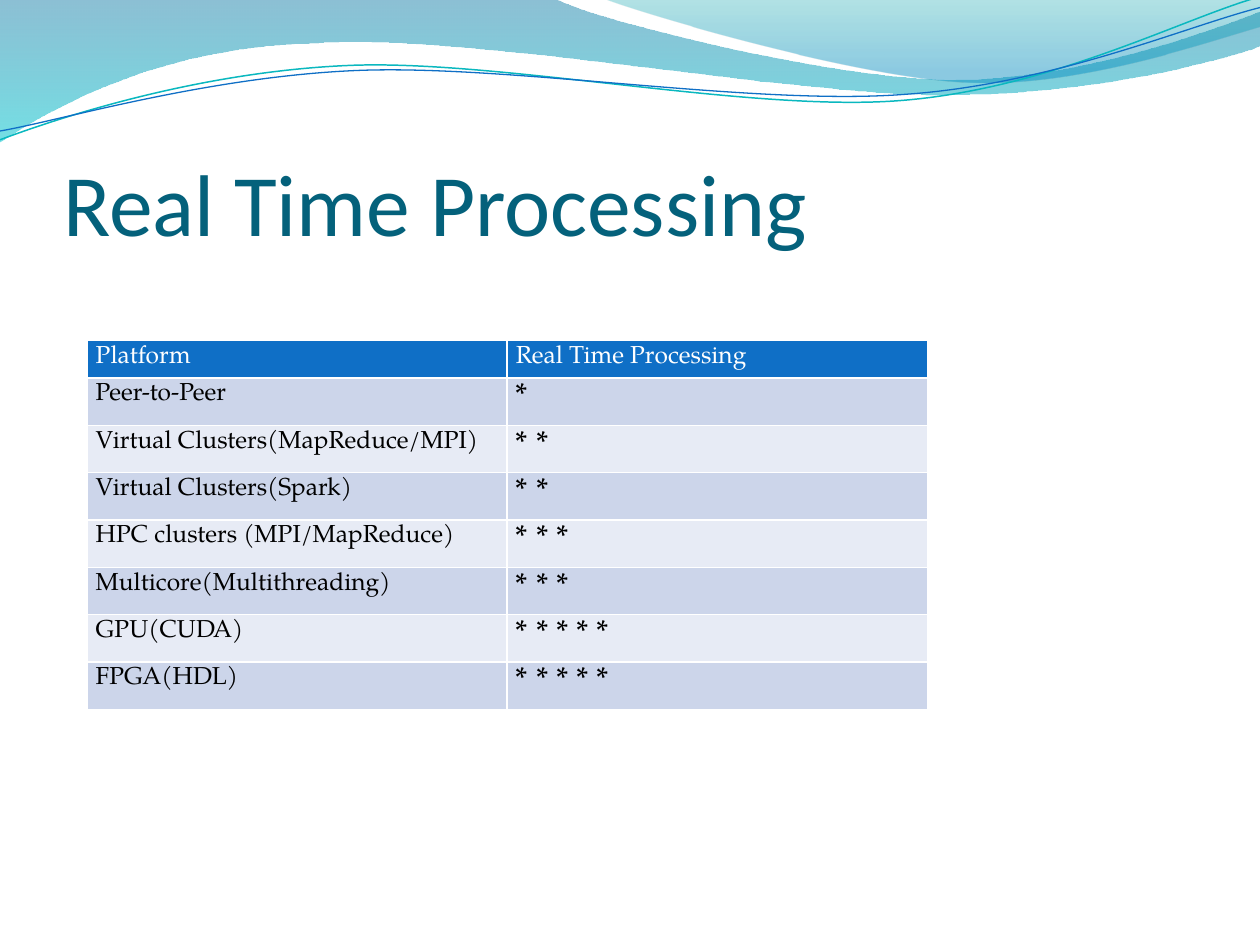
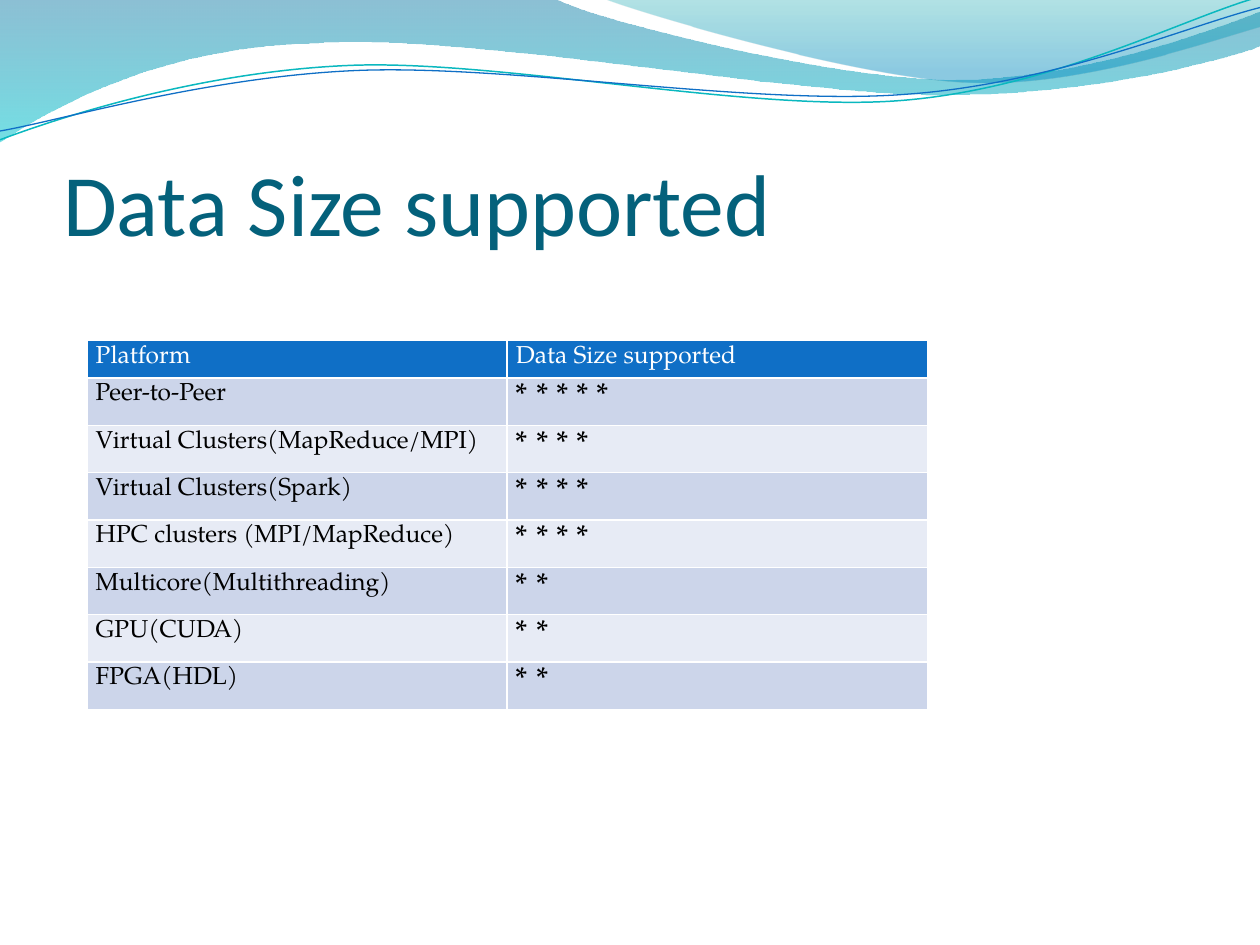
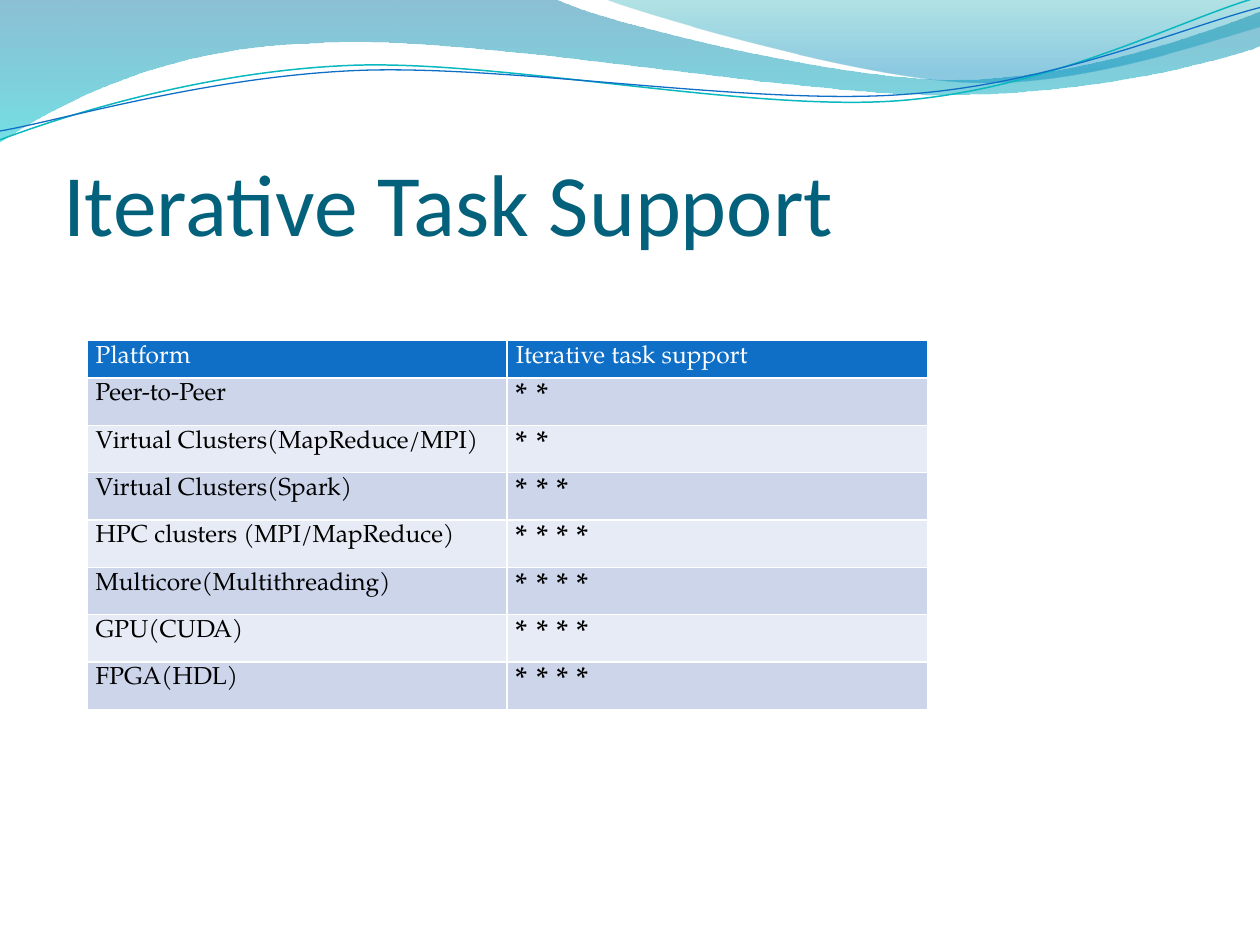
import lxml.etree
import pptx
import pptx.dml.color
import pptx.enum.text
import pptx.oxml.ns
import pptx.shapes.shapetree
import pptx.util

Inches = pptx.util.Inches
Pt = pptx.util.Pt
qn = pptx.oxml.ns.qn

TITLE_COLOUR = "04617B"
HEADER_FILL = "0F6FC6"
ROW_FILLS = ("CCD5EA", "E7EBF5")
WHITE = "FFFFFF"
BLACK = "000000"
TITLE_FONT = "Calibri"
TABLE_FONT = "TeX Gyre Pagella"

BANNER_BOX = (0, 0, 10, 1.13)
TITLE_BOX = (0.5, 0.77, 9, 1.25)
RATING_BOX = (0.69, 2.7, 6.67, 2.93)
HEADER_HEIGHT = 0.3

BANDS = [
    {
        "outline": [
            (0, 0), (4.4, -0.01),
            (4.76, 0.17, 6.64, 0.63, 7.58, 0.63),
            (8.53, 0.63, 9.58, 0.26, 10, 0.09),
            (10.01, 0.36),
            (9.83, 0.44, 8.7, 0.76, 7.46, 0.75),
            (6.22, 0.75, 3.82, 0.28, 2.57, 0.34),
            (1.29, 0.36, 0.46, 0.83, -0.01, 1.13),
            (0, 0),
        ],
        "stops": [(0, "0074A1", 45), (1, "00C6CF", 55)],
    },
    {
        "outline": [
            (4.79, -0.01),
            (5.09, 0.11, 6.82, 0.62, 7.69, 0.65),
            (8.56, 0.69, 9.61, 0.32, 10, 0.21),
            (10, 0),
            (4.79, -0.01),
        ],
        "stops": [(0, "00A1A9", 30), (0.8, "008BBF", 45)],
    },
]

STRANDS = [
    {
        "outline": [
            (0, 1.11),
            (0.48, 0.93, 1.58, 0.57, 2.77, 0.52),
            (3.95, 0.47, 5.93, 0.89, 7.13, 0.8),
            (8.33, 0.71, 9.38, 0.15, 9.98, -0.02),
        ],
        "colour": "0AB8BF",
        "width": 0.85,
    },
    {
        "outline": [
            (0, 1.04),
            (0.47, 0.96, 1.64, 0.61, 2.83, 0.56),
            (4.03, 0.51, 5.97, 0.84, 7.17, 0.75),
            (8.36, 0.67, 9.41, 0.21, 10, 0.06),
        ],
        "colour": HEADER_FILL,
        "width": 0.75,
    },
]

PLATFORMS = [
    "Peer-to-Peer",
    "Virtual Clusters(MapReduce/MPI)",
    "Virtual Clusters(Spark)",
    "HPC clusters (MPI/MapReduce)",
    "Multicore(Multithreading)",
    "GPU(CUDA)",
    "FPGA(HDL)",
]

RATINGS = [
    ("Real Time Processing", "Real Time Processing", (1, 2, 2, 3, 3, 5, 5)),
    ("Data Size supported", "Data Size supported", (5, 4, 4, 4, 2, 2, 2)),
    ("Iterative Task Support", "Iterative task support", (2, 2, 3, 4, 4, 4, 4)),
]


def rgb(colour):
    return pptx.dml.color.RGBColor.from_string(colour)


def apply(target, values):
    for name, value in values.items():
        setattr(target, name, value)


def style_font(font, face, size, colour):
    apply(font, {"name": face, "size": Pt(size), "bold": False})
    font.color.rgb = rgb(colour)


def bend_segments(wave, outline):
    segments = iter(list(wave.element.iter(qn("a:lnTo"))))
    for step in outline[1:]:
        segment = next(segments)
        if len(step) == 6:
            curve = lxml.etree.Element(qn("a:cubicBezTo"))
            segment.addprevious(curve)
            for handle in (segment, next(segments), next(segments)):
                curve.append(handle[0])
                handle.getparent().remove(handle)


def add_wave(shapes, box, outline, close):
    left, top = box[:2]
    points = [
        (Inches(left + x), Inches(top + y))
        for step in outline
        for x, y in zip(step[::2], step[1::2])
    ]
    builder = shapes.build_freeform(*points[0], scale=1.0)
    builder.add_line_segments(points[1:], close=close)
    wave = builder.convert_to_shape()
    bend_segments(wave, outline)
    wave.shadow.inherit = False
    return wave


def add_banner(layout, box):
    shapes = pptx.shapes.shapetree.SlideShapes(layout.shapes.element, layout)
    for band in BANDS:
        wave = add_wave(shapes, box, band["outline"], True)
        wave.line.fill.background()
        wave.fill.gradient()
        wave.fill.gradient_angle = 270
        for stop, (position, colour, opacity) in zip(wave.fill.gradient_stops, band["stops"]):
            stop.position = position
            stop.color.rgb = rgb(colour)
        tints = wave.element.spPr.iter(qn("a:srgbClr"))
        for tint, (position, colour, opacity) in zip(tints, band["stops"]):
            lxml.etree.SubElement(tint, qn("a:alpha"), val=str(opacity * 1000))
    for strand in STRANDS:
        wave = add_wave(shapes, box, strand["outline"], False)
        wave.fill.background()
        wave.line.color.rgb = rgb(strand["colour"])
        wave.line.width = Pt(strand["width"])


def set_title(slide, box, text):
    title = slide.shapes.title
    apply(title, dict(zip(("left", "top", "width", "height"), map(Inches, box))))
    frame = title.text_frame
    frame.text = text
    apply(frame, {
        "margin_left": 0,
        "margin_top": Inches(0.05),
        "margin_right": 0,
        "margin_bottom": 0,
        "word_wrap": True,
        "auto_size": pptx.enum.text.MSO_AUTO_SIZE.NONE,
        "vertical_anchor": pptx.enum.text.MSO_ANCHOR.BOTTOM,
    })
    heading = frame.paragraphs[0]
    heading.alignment = pptx.enum.text.PP_ALIGN.LEFT
    style_font(heading.runs[0].font, TITLE_FONT, 50, TITLE_COLOUR)


def fill_cell(cell, text, size, colour, fill):
    apply(cell, {
        "text": text,
        "margin_left": Inches(0.07),
        "margin_right": Inches(0.07),
        "margin_top": Inches(0.04),
        "margin_bottom": Inches(0.04),
        "vertical_anchor": pptx.enum.text.MSO_ANCHOR.TOP,
    })
    cell.fill.solid()
    cell.fill.fore_color.rgb = rgb(fill)
    style_font(cell.text_frame.paragraphs[0].runs[0].font, TABLE_FONT, size, colour)


def add_rating_table(slide, box, criterion, scores):
    row_count = len(PLATFORMS) + 1
    table = slide.shapes.add_table(row_count, 2, *map(Inches, box)).table
    for column in table.columns:
        column.width = Inches(box[2] / 2)
    for row in table.rows:
        row.height = Inches((box[3] - HEADER_HEIGHT) / len(PLATFORMS))
    table.rows[0].height = Inches(HEADER_HEIGHT)

    for column, label in enumerate(("Platform", criterion)):
        fill_cell(table.cell(0, column), label, 14, WHITE, HEADER_FILL)
    for row, (platform, score) in enumerate(zip(PLATFORMS, scores), start=1):
        fill = ROW_FILLS[(row - 1) % 2]
        stars = " ".join("*" * score)
        fill_cell(table.cell(row, 0), platform, 14, BLACK, fill)
        fill_cell(table.cell(row, 1), stars, 18, BLACK, fill)


def add_rating_slide(deck, layout, title, criterion, scores):
    slide = deck.slides.add_slide(layout)
    set_title(slide, TITLE_BOX, title)
    add_rating_table(slide, RATING_BOX, criterion, scores)


def main():
    deck = pptx.Presentation()
    deck.slide_width = Inches(10)
    deck.slide_height = Inches(7.5)
    layout = deck.slide_layouts.get_by_name("Title Only")
    add_banner(layout, BANNER_BOX)
    for title, criterion, scores in RATINGS:
        add_rating_slide(deck, layout, title, criterion, scores)
    deck.save("out.pptx")


if __name__ == "__main__":
    main()
